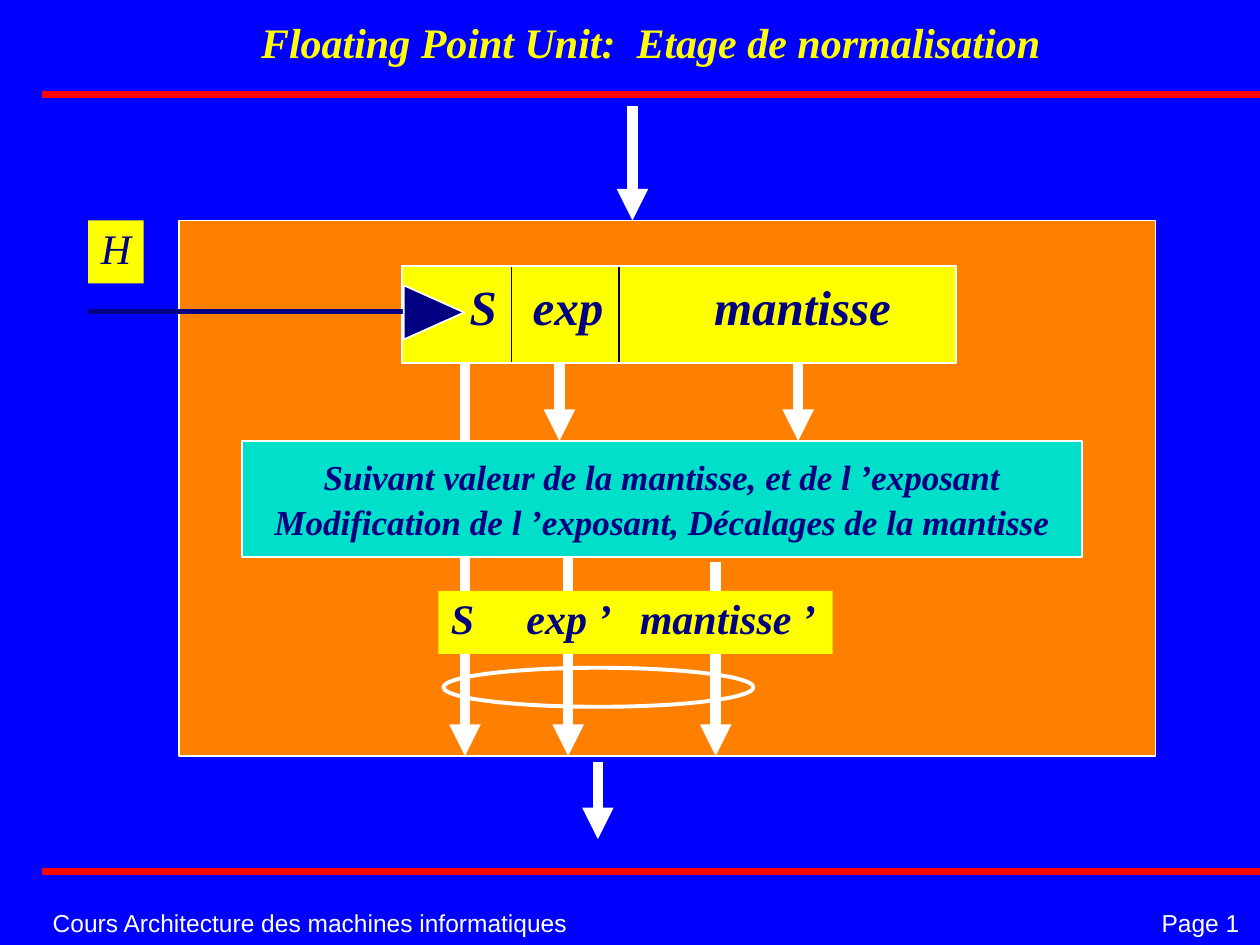
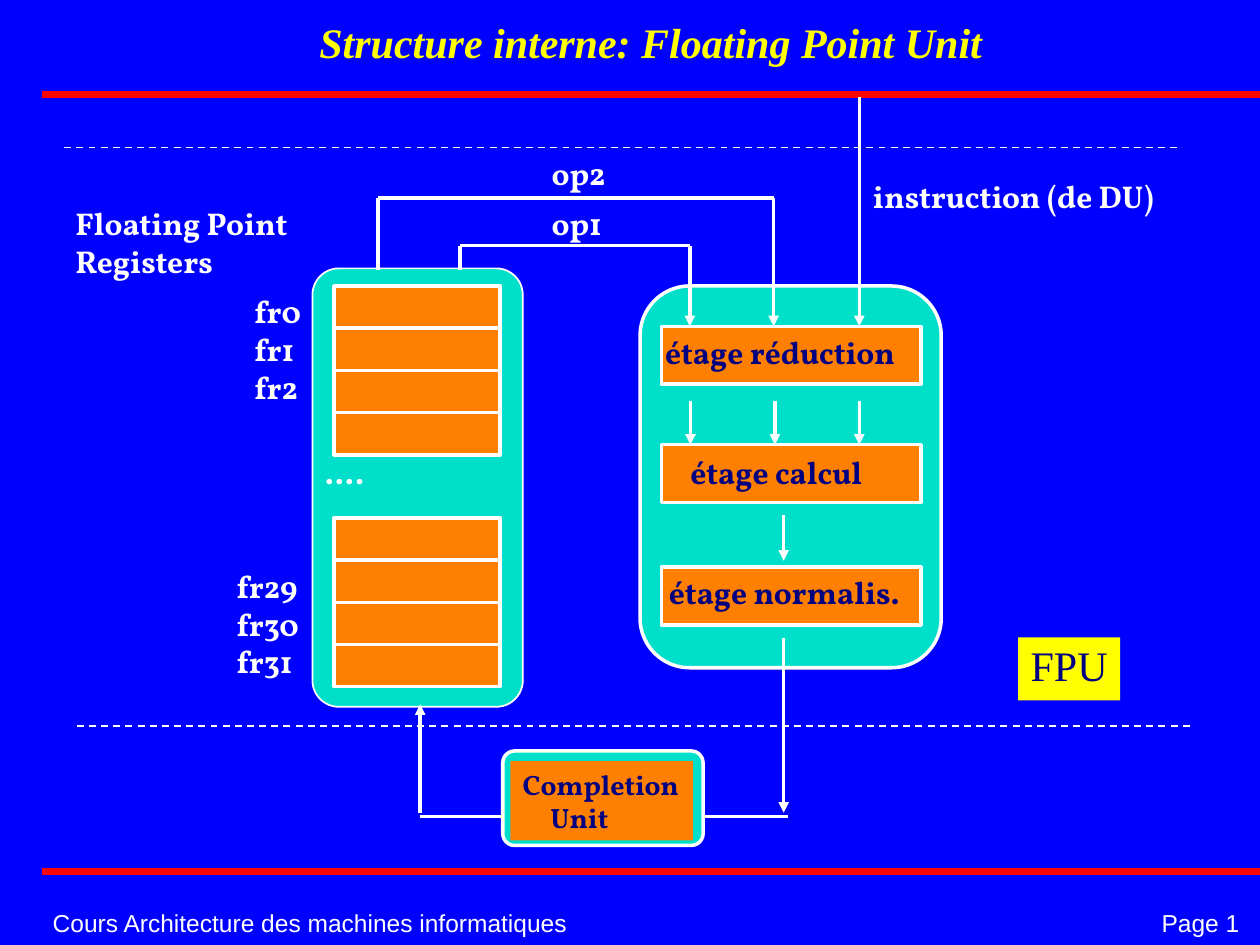
from lxml import etree
from pptx import Presentation
from pptx.dml.color import RGBColor
from pptx.enum.dml import MSO_LINE
from pptx.enum.shapes import MSO_CONNECTOR, MSO_SHAPE
from pptx.enum.text import MSO_ANCHOR, PP_ALIGN
from pptx.oxml.ns import qn
from pptx.util import Inches, Pt

RECT, ROUND = MSO_SHAPE.RECTANGLE, MSO_SHAPE.ROUNDED_RECTANGLE
ELLIPSE, TRIANGLE = MSO_SHAPE.OVAL, MSO_SHAPE.ISOSCELES_TRIANGLE
STRAIGHT, DASH = MSO_CONNECTOR.STRAIGHT, MSO_LINE.DASH
TOP, MIDDLE, BOTTOM = MSO_ANCHOR.TOP, MSO_ANCHOR.MIDDLE, MSO_ANCHOR.BOTTOM
LEFT, CENTER = PP_ALIGN.LEFT, PP_ALIGN.CENTER

COLOURS = {name: RGBColor.from_string(value) for name, value in {
    "blue": "0000FF", "red": "FF0100", "white": "FFFFFF", "yellow": "FFFF00",
    "orange": "FF7F00", "teal": "00DFCA", "navy": "000080"}.items()}

# font, size, colour, bold, italic, line spacing
STYLES = {
    "title": ("Times New Roman", 24, "yellow", True, True, 0.93),
    "footer": ("Arial", 14, "white", False, False, 0.96),
    "register": ("Times New Roman", 28, "navy", True, True, 0.93),
    "result": ("Times New Roman", 24, "navy", True, True, 0.93),
    "action": ("Times New Roman", 20, "navy", True, True, 1.0),
    "clock": ("Times New Roman", 24, "navy", False, True, 0.93),
    "unit": ("Times New Roman", 24, "navy", False, False, 0.93),
    "label": ("Vollkorn", 18, "white", True, False, 1.0),
    "stage": ("Vollkorn", 18, "navy", True, False, 1.0),
    "completion": ("Vollkorn", 16, "navy", True, False, 1.0),
}

deck = Presentation()
deck.slide_width, deck.slide_height = Inches(10), Inches(7.5)
COLUMN, ROW = deck.slide_width / 100, deck.slide_height / 75  # square grid cells


def add_line(slide, start, end, colour="white", weight=2, arrow=False, dash=False):
    """Draw a straight line between two grid points."""
    line = slide.shapes.add_connector(
        STRAIGHT, int(start[0] * COLUMN), int(start[1] * ROW),
        int(end[0] * COLUMN), int(end[1] * ROW))
    line.line.color.rgb = COLOURS[colour]
    line.line.width = Pt(weight)
    if dash:
        line.line.dash_style = DASH
    if arrow:
        etree.SubElement(line.line._get_or_add_ln(), qn("a:tailEnd"), type="triangle")
    etree.SubElement(line._element.spPr, qn("a:effectLst"))


def add_box(slide, area, kind=None, fill=None, outline=None, weight=1, radius=None,
            text="", style="label", align=LEFT, anchor=TOP, inset=1, tabs=()):
    """Add a shape, or a text box when there is no kind, on the grid; return it."""
    left, top, width, height = area
    place = [int(left * COLUMN), int(top * ROW), int(width * COLUMN), int(height * ROW)]
    if kind is None:
        box = slide.shapes.add_textbox(*place)
    else:
        box = slide.shapes.add_shape(kind, *place)
        box.shadow.inherit = False
        if radius is not None:
            box.adjustments[0] = radius
        if fill:
            box.fill.solid()
            box.fill.fore_color.rgb = COLOURS[fill]
        else:
            box.fill.background()
        if outline:
            box.line.color.rgb = COLOURS[outline]
            box.line.width = Pt(weight)
        else:
            box.line.fill.background()
    if not text:
        return box
    frame = box.text_frame
    frame.word_wrap = True
    frame.vertical_anchor = anchor
    frame.margin_left, frame.margin_right = int(inset * COLUMN), 0 if align == LEFT else int(inset * COLUMN)
    frame.margin_top = frame.margin_bottom = int(ROW / 2)
    frame.text = text
    font, size, colour, bold, italic, spacing = STYLES[style]
    for para in frame.paragraphs:
        para.alignment, para.line_spacing = align, spacing
        para.font.name, para.font.size = font, Pt(size)
        para.font.bold, para.font.italic = bold, italic
        para.font.color.rgb = COLOURS[colour]
        if tabs:
            stops = etree.Element(qn("a:tabLst"))
            for tab in tabs:
                etree.SubElement(stops, qn("a:tab"), pos=str(int(tab * COLUMN)), algn="l")
            para._p.get_or_add_pPr().find(qn("a:defRPr")).addprevious(stops)
    return box


# What both slides share: background, title, red bands and footers
deck.slide_master.background.fill.solid()
deck.slide_master.background.fill.fore_color.rgb = COLOURS["blue"]
slides = []
for heading in ("Floating Point Unit:  Etage de normalisation",
                "Structure interne: Floating Point Unit"):
    slide = deck.slides.add_slide(deck.slide_layouts[5])
    title = slide.shapes.title
    title.left, title.top = int(9.5 * COLUMN), int(1.1 * ROW)
    title.width, title.height = int(84.3 * COLUMN), int(4.8 * ROW)
    title.text_frame.text = heading
    title.text_frame.vertical_anchor = BOTTOM
    font, size, colour, bold, italic, spacing = STYLES["title"]
    para = title.text_frame.paragraphs[0]
    para.alignment, para.line_spacing = CENTER, spacing
    para.font.name, para.font.size = font, Pt(size)
    para.font.bold, para.font.italic = bold, italic
    para.font.color.rgb = COLOURS[colour]
    for band in (7.5, 69.2):
        add_line(slide, (3.3, band), (100, band), "red", 4)
    add_box(slide, (3.2, 71.7, 46, 3.2), style="footer", anchor=MIDDLE,
            text="Cours Architecture des machines informatiques")
    add_box(slide, (91.2, 71.7, 8.8, 3.2), text="Page 1", style="footer", anchor=MIDDLE)
    slides.append(slide)
normalisation, structure = slides

# Slide 1: normalisation stage
add_box(normalisation, (14.2, 17.5, 77.5, 42.5), RECT, "orange", "white")
for column, top, bottom in (
        (50.2, 8.4, 17.5),                                            # input
        (36.9, 28.9, 60), (44.4, 28.9, 35), (63.35, 28.9, 35),        # to the action
        (45.1, 44.3, 60), (56.8, 44.6, 60),                           # from the action
        (47.45, 60.5, 66.6)):                                         # output
    add_line(normalisation, (column, top), (column, bottom), weight=6, arrow=True)

add_box(normalisation, (31.9, 21.1, 44, 7.7), RECT, "yellow", "white")
add_box(normalisation, (36.3, 21.9, 38, 5.4), text="S\texp\tmantisse",
        style="register", tabs=(5, 19.4))
for divider in (40.6, 49.1):
    add_line(normalisation, (divider, 21.2), (divider, 28.7), "navy", 1)

add_box(normalisation, (7, 17.5, 4.4, 5), RECT, "yellow", text="H", style="clock",
        align=CENTER, inset=0.5)
add_line(normalisation, (7, 24.7), (32, 24.7), "navy", 3)
clock_tip = add_box(normalisation, (32.3, 22.4, 4.3, 4.8), TRIANGLE, "navy", "white")
clock_tip.rotation = 90

action = add_box(
    normalisation, (19.2, 35, 66.7, 9.2), RECT, "teal", "white",
    text="Suivant valeur de la mantisse, et de l\u00a0’exposant\n"
         "Modification de l\u00a0’exposant, Décalages de la mantisse",
    style="action", align=CENTER, anchor=MIDDLE)
action.text_frame.paragraphs[1].space_before = Pt(2)
add_box(normalisation, (34.8, 46.9, 31.3, 5), RECT, "yellow",
        text="S\texp\u00a0’\tmantisse\u00a0’", style="result", tabs=(6, 15))
add_box(normalisation, (35.2, 53, 24.6, 3.1), ELLIPSE, outline="white", weight=2.25)

# Slide 2: register file and pipeline
add_box(structure, (24.8, 21.3, 16.7, 34.8), ROUND, "teal", "white", radius=0.126)
add_box(structure, (50.8, 22.7, 23.9, 30.3), ROUND, "teal", "white", 2, radius=0.165)
for bank_top in (22.7, 41.1):
    add_box(structure, (26.5, bank_top, 13.2, 13.4), RECT, "orange", "white", 2)
    for row in (1, 2, 3):
        level = bank_top + row * 13.4 / 4
        add_line(structure, (26.5, level), (39.7, level))
for left, level in ((5.1, 11.7), (6.1, 57.6)):
    add_line(structure, (left, level), (left + 88.7, level), weight=1, dash=True)

# Operand wires: from the registers, across, down to the first stage
for source, level, target in ((30, 15.7, 61.4), (36.5, 19.5, 54.75)):
    add_line(structure, (source, 21.4), (source, level))
    add_line(structure, (source, level), (target, level))
    add_line(structure, (target, level), (target, 25.9), arrow=True)
add_line(structure, (68.2, 7.7), (68.2, 25.9), arrow=True)
for column in (54.8, 61.5, 68.2):
    add_line(structure, (column, 31.8), (column, 35.3), arrow=True)
for top, bottom in ((40.9, 44.5), (50.6, 64.5)):
    add_line(structure, (62.2, top), (62.2, bottom), arrow=True)
add_line(structure, (33.3, 64.8), (62.5, 64.8))
add_line(structure, (33.35, 64.5), (33.35, 55.9), arrow=True)

for stage, top, text_left, text_top in (
        ("étage réduction", 25.9, 51.8, 25.9),
        ("étage calcul", 35.3, 53.8, 35.5),
        ("étage normalis.", 45, 52.1, 45)):
    add_box(structure, (52.5, top, 20.6, 4.6), RECT, "orange", "white", 2)
    add_box(structure, (text_left, text_top, 22.5, 4), text=stage, style="stage")

for label, left, top, width, height in (
        ("Floating Point\nRegisters", 5, 15.7, 20, 7),
        ("fr0\nfr1\nfr2", 19.2, 22.7, 6, 10),
        ("fr29\nfr30\nfr31", 17.8, 44.5, 7.4, 10),
        ("....", 24.8, 35.5, 6, 4),
        ("op2", 42.8, 11.7, 7, 4),
        ("op1", 42.8, 15.7, 7, 4),
        ("instruction (de DU)", 68.3, 13.6, 27, 4)):
    add_box(structure, (left, top, width, height), text=label)

add_box(structure, (39.9, 59.6, 15.9, 7.5), ROUND, "teal", "white", 2, radius=0.125)
completion = add_box(structure, (40.5, 60.4, 14.5, 6.3), RECT, "orange",
                     text="Completion\nUnit", style="completion")
completion.text_frame.paragraphs[1]._p.get_or_add_pPr().set("marL", str(int(2.2 * COLUMN)))
add_box(structure, (80.8, 50.6, 8.1, 5), RECT, "yellow", text="FPU", style="unit",
        align=CENTER, inset=0.5)

deck.save("out.pptx")
